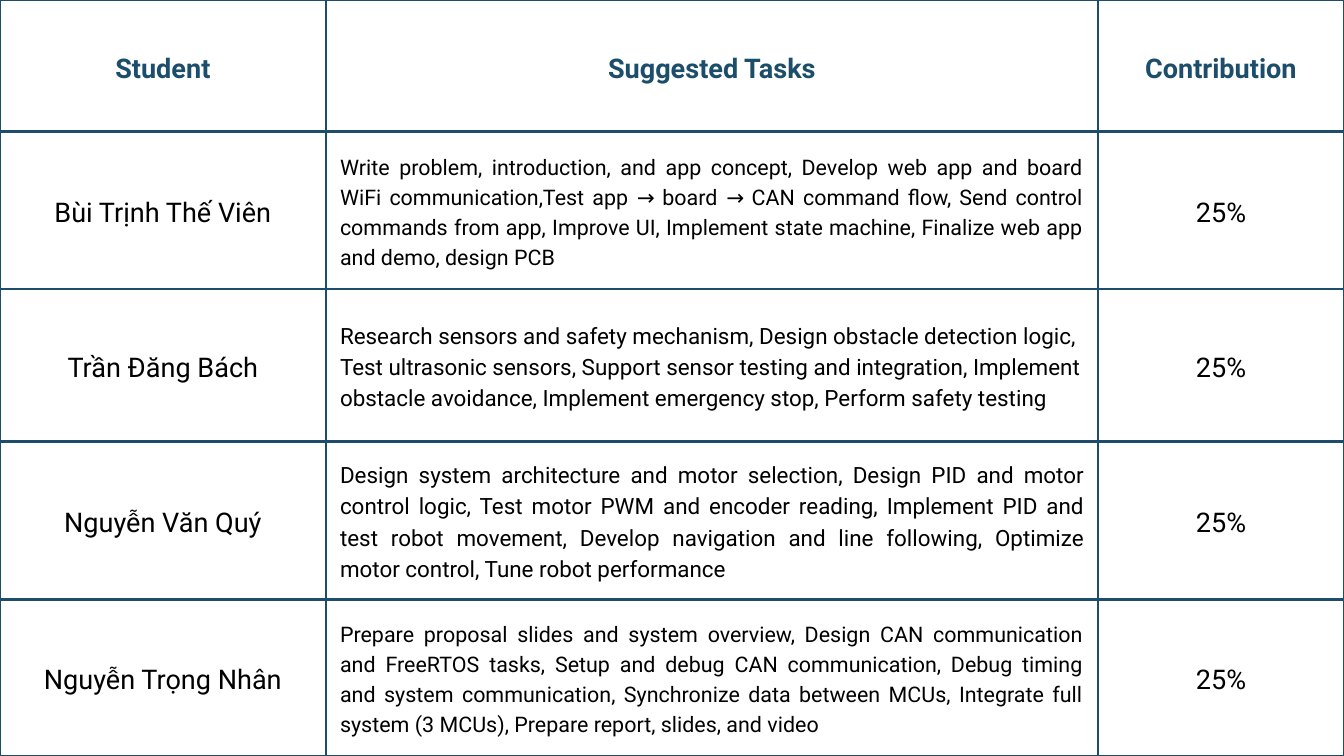
import pptx
import pptx.util
import pptx.dml.color
import pptx.enum.text
import pptx.oxml.ns
from lxml import etree

Inches = pptx.util.Inches
Pt = pptx.util.Pt
RGBColor = pptx.dml.color.RGBColor
ALIGN = pptx.enum.text.PP_ALIGN
ANCHOR = pptx.enum.text.MSO_ANCHOR
qn = pptx.oxml.ns.qn

NAVY = RGBColor(0x1C, 0x4E, 0x6B)
BLACK = RGBColor(0, 0, 0)
FONT = "Roboto"
LABEL_SIZE = 29
LINE_FACTOR = 1.4
INSET = 0.21
BORDER = 3
COLUMNS = (4.85, 11.49, 3.66)
ROWS = (1.96, 2.34, 2.27, 2.35, 2.33)

HEADERS = ("Student", "Suggested Tasks", "Contribution")
SHARE = "25%"
STUDENTS = (
    ("Bùi Trịnh Thế Viên", 23, ALIGN.JUSTIFY,
     "Write problem, introduction, and app concept, Develop web app and board "
     "WiFi communication,Test app → board → CAN command flow, Send control "
     "commands from app, Improve UI, Implement state machine, Finalize web app "
     "and demo, design PCB"),
    ("Trần Đăng Bách", 24, ALIGN.LEFT,
     "Research sensors and safety mechanism, Design obstacle detection logic, "
     "Test ultrasonic sensors, Support sensor testing and integration, Implement "
     "obstacle avoidance, Implement emergency stop, Perform safety testing"),
    ("Nguyễn Văn Quý", 24, ALIGN.JUSTIFY,
     "Design system architecture and motor selection, Design PID and motor "
     "control logic, Test motor PWM and encoder reading, Implement PID and "
     "test robot movement, Develop navigation and line following, Optimize "
     "motor control, Tune robot performance"),
    ("Nguyễn Trọng Nhân", 23, ALIGN.JUSTIFY,
     "Prepare proposal slides and system overview, Design CAN communication "
     "and FreeRTOS tasks, Setup and debug CAN communication, Debug timing "
     "and system communication, Synchronize data between MCUs, Integrate full "
     "system (3 MCUs), Prepare report, slides, and video"),
)


def set_borders(cell):
    tc_pr = cell._tc.get_or_add_tcPr()
    for side in ("lnL", "lnR", "lnT", "lnB"):
        ln = etree.SubElement(tc_pr, qn(f"a:{side}"), w=str(Pt(BORDER)))
        fill = etree.SubElement(ln, qn("a:solidFill"))
        etree.SubElement(fill, qn("a:srgbClr"), val=str(NAVY))


def fill_cell(cell, text, size=LABEL_SIZE, align=ALIGN.CENTER, color=BLACK, bold=False):
    set_borders(cell)
    cell.fill.background()
    cell.vertical_anchor = ANCHOR.MIDDLE
    cell.margin_left = cell.margin_right = Inches(INSET)
    cell.margin_top = cell.margin_bottom = Inches(INSET)
    p = cell.text_frame.paragraphs[0]
    p.text = text
    p.alignment = align
    p.line_spacing = Pt(size * LINE_FACTOR)
    p.font.name = FONT
    p.font.size = Pt(size)
    p.font.bold = bold
    p.font.color.rgb = color


def add_grid(s):
    table = s.shapes.add_table(len(ROWS), len(COLUMNS), 0, 0,
                               Inches(sum(COLUMNS)), Inches(sum(ROWS))).table
    table.first_row = table.horz_banding = False
    for column, width in zip(table.columns, COLUMNS):
        column.width = Inches(width)
    for row, height in zip(table.rows, ROWS):
        row.height = Inches(height)
    return table


def main():
    prs = pptx.Presentation()
    prs.slide_width, prs.slide_height = Inches(20), Inches(11.25)
    s = prs.slides.add_slide(prs.slide_layouts[6])
    table = add_grid(s)
    for col, header in enumerate(HEADERS):
        fill_cell(table.cell(0, col), header, color=NAVY, bold=True)
    for row, (name, size, align, tasks) in enumerate(STUDENTS, 1):
        fill_cell(table.cell(row, 0), name)
        fill_cell(table.cell(row, 1), tasks, size, align)
        fill_cell(table.cell(row, 2), SHARE)
    prs.save("out.pptx")


if __name__ == "__main__":
    main()
